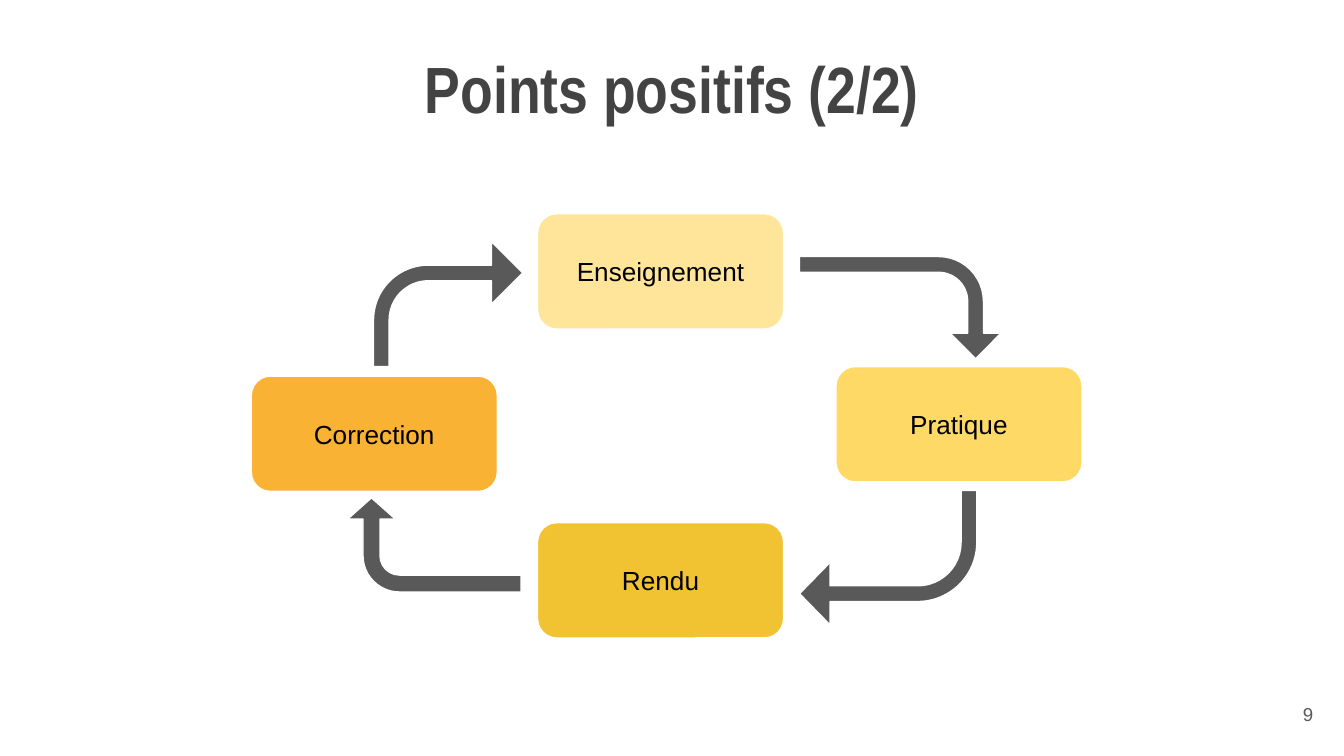
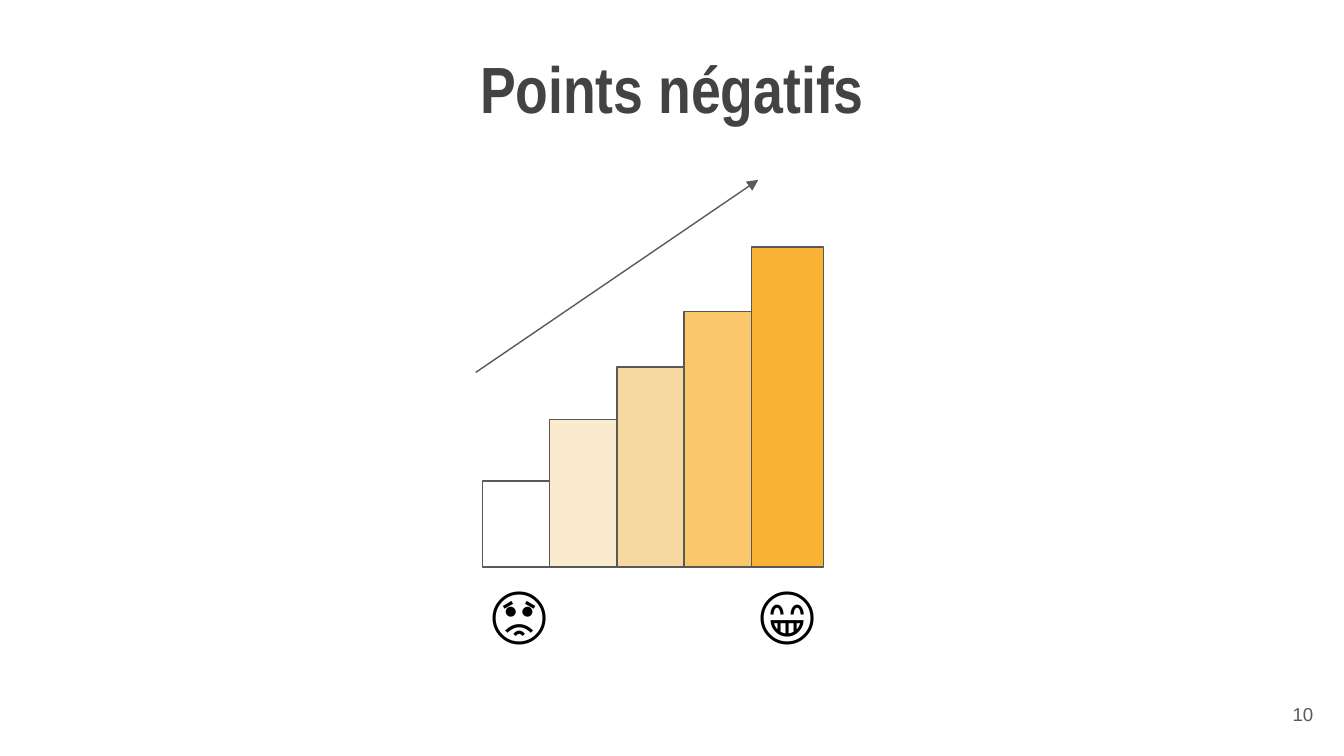
from lxml.etree import SubElement
from pptx import Presentation
from pptx.dml.color import RGBColor
from pptx.enum.shapes import MSO_CONNECTOR, MSO_SHAPE
from pptx.enum.text import MSO_ANCHOR, MSO_AUTO_SIZE, PP_ALIGN
from pptx.oxml.ns import qn
from pptx.util import Cm, Pt

WHITE, BLACK, GREY, TITLE_GREY = "FFFFFF", "000000", "595959", "434343"
AMBER = "F9B233"
BODY_FONT, TITLE_FONT = "Arial", "Arial Narrow"
LINE_WIDTH = Pt(0.75)
TITLE_ONLY = 5

STEP_SIZE = (4.65, 2.18)
# label, left, top, fill
STEPS = [
    ("Enseignement", 10.16, 4.04, "FFE599"),
    ("Pratique", 15.8, 6.93, "FFD966"),
    ("Rendu", 10.16, 9.88, "F1C232"),
    ("Correction", 4.75, 7.11, AMBER),
]
# left, top, width, height before rotation, rotation, adjustments
BENT_ARROWS = [
    ((7.06, 4.57, 2.82, 2.36), 0, (0.125, 0.25, 0.25, 0.44)),
    ((16.05, 3.91, 1.93, 3.81), 90, (0.154, 0.25, 0.25, 0.44)),
    ((7.32, 8.66, 1.78, 3.28), 270, (0.18, 0.254, 0.226, 0.387)),
    ((15.11, 9.27, 3.35, 2.54), 180, (0.117, 0.232, 0.226, 0.44)),
]

BAR_LEFT, BAR_STEP, BAR_WIDTH, BAR_BASE = 9.12, 1.27, 1.37, 10.72
BARS = [
    (1.63, WHITE),
    (2.79, "FAEACE"),
    (3.78, "F7D8A1"),
    (4.83, "FAC76B"),
    (6.05, AMBER),
]


def color(hex_string):
    return RGBColor.from_string(hex_string)


def lengths(values):
    return [Cm(value) for value in values]


def write(shape, text, size, text_color, align=PP_ALIGN.CENTER,
          anchor=MSO_ANCHOR.TOP, font_name=BODY_FONT, bold=False):
    frame = shape.text_frame
    frame.text = text
    frame.word_wrap = True
    frame.vertical_anchor = anchor
    frame.margin_left = frame.margin_right = Cm(0.25)
    frame.margin_top = frame.margin_bottom = Cm(0.25)
    paragraph = frame.paragraphs[0]
    paragraph.alignment = align
    font = paragraph.font
    font.name, font.size, font.bold = font_name, Pt(size), bold
    font.color.rgb = color(text_color)


def add_titled_slide(presentation, title_text, number):
    slide = presentation.slides.add_slide(presentation.slide_layouts[TITLE_ONLY])
    title = slide.shapes.title
    title.left, title.top, title.width, title.height = lengths(
        (3.33, 0.66, 18.75, 2))
    write(title, title_text, 35, TITLE_GREY, font_name=TITLE_FONT, bold=True)
    title.text_frame.auto_size = MSO_AUTO_SIZE.SHAPE_TO_FIT_TEXT
    add_text(slide, (23.55, 12.95, 1.52, 1.1), str(number), 10, GREY,
             align=PP_ALIGN.RIGHT, anchor=MSO_ANCHOR.MIDDLE)
    return slide


def add_text(slide, box, text, size, text_color, **style):
    write(slide.shapes.add_textbox(*lengths(box)), text, size, text_color, **style)


def add_filled_shape(slide, kind, box, fill, line):
    shape = slide.shapes.add_shape(kind, *lengths(box))
    shape.shadow.inherit = False
    shape.fill.solid()
    shape.fill.fore_color.rgb = color(fill)
    shape.line.color.rgb = color(line)
    shape.line.width = LINE_WIDTH
    return shape


def add_step(slide, label, left, top, fill):
    step = add_filled_shape(slide, MSO_SHAPE.ROUNDED_RECTANGLE,
                            (left, top, *STEP_SIZE), fill, WHITE)
    write(step, label, 14, BLACK, anchor=MSO_ANCHOR.MIDDLE)


def add_bent_arrow(slide, box, rotation, adjustments):
    arrow = add_filled_shape(slide, MSO_SHAPE.BENT_ARROW, box, GREY, WHITE)
    arrow.rotation = rotation
    for index, value in enumerate(adjustments):
        arrow.adjustments[index] = value


def add_straight_arrow(slide, start, end):
    arrow = slide.shapes.add_connector(
        MSO_CONNECTOR.STRAIGHT, *lengths(start + end))
    arrow.line.color.rgb = color(GREY)
    arrow.line.width = LINE_WIDTH
    SubElement(arrow.line._get_or_add_ln(), qn("a:tailEnd"), type="triangle")
    SubElement(arrow._element.spPr, qn("a:effectLst"))


def build_cycle(presentation):
    slide = add_titled_slide(presentation, "Points positifs (2/2)", 9)
    for step in STEPS:
        add_step(slide, *step)
    for arrow in BENT_ARROWS:
        add_bent_arrow(slide, *arrow)


def build_scale(presentation):
    slide = add_titled_slide(presentation, "Points négatifs", 10)
    for index, (height, fill) in enumerate(BARS):
        box = (BAR_LEFT + index * BAR_STEP, BAR_BASE - height, BAR_WIDTH, height)
        add_filled_shape(slide, MSO_SHAPE.RECTANGLE, box, fill, GREY)
    add_straight_arrow(slide, (8.99, 7.04), (14.33, 3.4))
    for left, width, face in ((8.64, 2.34, "😡"), (13.77, 2.21, "😁")):
        add_text(slide, (left, 10.59, width, 1.96), face, 34, BLACK)


def main():
    presentation = Presentation()
    presentation.slide_width, presentation.slide_height = Cm(25.4), Cm(14.29)
    build_cycle(presentation)
    build_scale(presentation)
    presentation.save("out.pptx")


if __name__ == "__main__":
    main()
